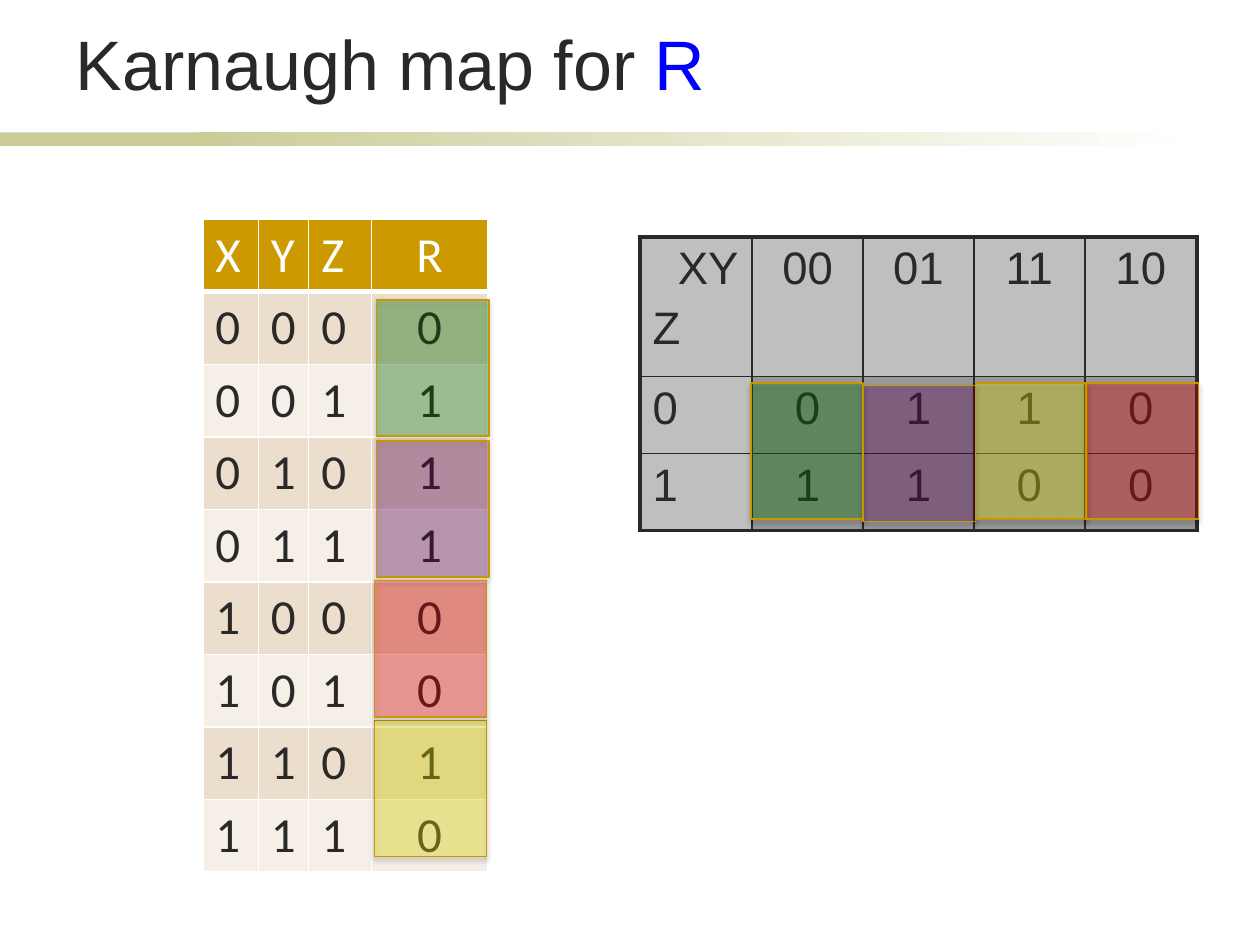
from lxml.etree import SubElement
from pptx import Presentation
from pptx.dml.color import RGBColor
from pptx.enum.shapes import MSO_SHAPE
from pptx.enum.text import MSO_ANCHOR, MSO_AUTO_SIZE, PP_ALIGN
from pptx.oxml.ns import qn
from pptx.util import Inches, Pt

COLORS = {
    "ink": "292929", "blue": "0000FF", "white": "FFFFFF", "sage": "CCCC99",
    "gold": "CC9900", "sand": "ECDECC", "cream": "F6EFE7", "outline": "C89600",
    "label": "BFBFBF", "value": "999999", "green": "008000",
    "purple": "660066", "yellow": "FFFF00", "red": "FF0000",
}
TITLE_FORMAT = {"vertical_anchor": MSO_ANCHOR.BOTTOM, "word_wrap": True,
                "auto_size": MSO_AUTO_SIZE.NONE}


def rgb(name):
    """Return a palette colour."""
    return RGBColor.from_string(COLORS[name])


def add_node(parent, tag, **attributes):
    """Append an XML child with the given attributes."""
    return SubElement(parent, qn(tag), {k: str(v) for k, v in attributes.items()})


def set_format(target, values):
    """Set every attribute listed in a dict of format values."""
    for name, value in values.items():
        setattr(target, name, value)


class SlideBuilder:
    """Holds the style and the current slide."""

    def __init__(self, presentation):
        """Add a title-only slide."""
        self.slide = presentation.slides.add_slide(presentation.slide_layouts[5])

    def run(self, paragraph, text, size, font, color):
        """Add a formatted run."""
        run = paragraph.add_run()
        run.text = text
        set_format(run.font, {"size": Pt(size), "name": font})
        run.font.color.rgb = rgb(color)

    def title(self, box, parts):
        """Place the title and write its coloured parts."""
        title = self.slide.shapes.title
        set_format(title, dict(zip(("left", "top", "width", "height"), map(Inches, box))))
        set_format(title.text_frame, TITLE_FORMAT)
        paragraph = title.text_frame.paragraphs[0]
        paragraph.alignment = PP_ALIGN.LEFT
        for text, color in parts:
            self.run(paragraph, text, 40, "Arial", color)

    def bar(self, box, end_color=None):
        """Draw a plain bar, or one that fades to the end colour."""
        bar = self.slide.shapes.add_shape(MSO_SHAPE.RECTANGLE, *map(Inches, box))
        bar.shadow.inherit = False
        bar.line.fill.background()
        if end_color is None:
            bar.fill.solid()
            bar.fill.fore_color.rgb = rgb("sage")
            return
        bar.fill.gradient()
        bar.fill.gradient_angle = 0
        for stop, color, position in zip(bar.fill.gradient_stops, ("sage", end_color), (0, 1)):
            stop.color.rgb = rgb(color)
            stop.position = position

    def table(self, box, widths, heights):
        """Add an unbanded table with given column widths and row heights."""
        frame = self.slide.shapes.add_table(len(heights), len(widths), *map(Inches, box))
        table = frame.table
        set_format(table, {"first_row": False, "horz_banding": False})
        for column, width in zip(table.columns, widths):
            column.width = Inches(width)
        for row, height in zip(table.rows, heights):
            row.height = Inches(height)
        frame.height = Inches(box[3])
        return table

    def cell(self, cell, text, size, font, color, fill, centered, borders, border_color):
        """Write, border and fill one cell; borders run left, right, top, bottom."""
        for index, line in enumerate(text.split("\n")):
            frame = cell.text_frame
            paragraph = frame.add_paragraph() if index else frame.paragraphs[0]
            paragraph.alignment = PP_ALIGN.CENTER if centered else PP_ALIGN.LEFT
            self.run(paragraph, line, size, font, color)
        properties = cell._tc.get_or_add_tcPr()
        for side, width in zip("LRTB", borders):
            line = add_node(properties, f"a:ln{side}", w=Pt(width))
            add_node(add_node(line, "a:solidFill"), "a:srgbClr", val=COLORS[border_color])
        cell.fill.solid()
        cell.fill.fore_color.rgb = rgb(fill)

    def highlight_pair(self, color, corners):
        """Group translucent markers over matching parts of both tables."""
        group = self.slide.shapes.add_group_shape()
        for left, top in corners:
            marker = group.shapes.add_shape(MSO_SHAPE.RECTANGLE, Inches(left), Inches(top),
                                            Inches(0.89), Inches(1.08))
            marker.fill.solid()
            marker.fill.fore_color.rgb = rgb(color)
            shade = marker._element.spPr.find(".//" + qn("a:srgbClr"))
            add_node(shade, "a:alpha", val=30000)
            marker.line.color.rgb = rgb("outline")
            marker.line.width = Pt(0.75)
            marker.shadow.inherit = False
            effects = marker._element.spPr.find(qn("a:effectLst"))
            shadow = add_node(effects, "a:outerShdw", blurRad=Pt(3.1), dist=Pt(1.8),
                              dir=5400000, rotWithShape=0)
            add_node(add_node(shadow, "a:srgbClr", val="000000"), "a:alpha", val=35000)


def karnaugh_map(builder):
    """Build the map of R over XY and Z."""
    rows = [["XY\nZ", "00", "01", "11", "10"], list("00110"), list("11100")]
    table = builder.table((5.08, 1.88, 4.42, 2.33), (0.89, 0.88, 0.88, 0.88, 0.89),
                          (1.11, 0.61, 0.61))
    for r, row in enumerate(rows):
        for c, text in enumerate(row):
            outer = (c == 0, c == 4, r == 0, r == 2)
            builder.cell(table.cell(r, c), text, 26, "Arial", "ink",
                         "value" if r and c else "label", c > 0,
                         [2.25 if edge else 1 for edge in outer], "ink")
            for paragraph in table.cell(r, c).text_frame.paragraphs:
                spacing = add_node(paragraph._p.get_or_add_pPr(), "a:spcBef")
                add_node(spacing, "a:spcPct", val=20000)
    corner = table.cell(0, 0).text_frame.paragraphs[0]
    corner._p.get_or_add_pPr().set("marL", str(Inches(0.2)))


def truth_table(builder):
    """Build the truth table of R over X, Y and Z."""
    rows = ["XYZR"] + [f"{i:03b}{result}" for i, result in enumerate("01110010")]
    table = builder.table((1.61, 1.74, 2.26, 5.1), (0.44, 0.4, 0.5, 0.92), [0.41] * 9)
    for r, row in enumerate(rows):
        fill = ("cream", "sand")[r % 2] if r else "gold"
        for c, text in enumerate(row):
            builder.cell(table.cell(r, c), text, 28, "Calibri", "ink" if r else "white",
                         fill, c == 3, (1, 1, 1, 1 if r else 3), "white")


def main():
    """Build and save the slide."""
    presentation = Presentation()
    set_format(presentation, {"slide_width": Inches(10), "slide_height": Inches(7.5)})
    builder = SlideBuilder(presentation)
    builder.bar((0, 1.05, 2.33, 0.11))
    builder.bar((1.58, 1.05, 7.92, 0.11), "white")
    builder.title((0.5, 0.13, 8.25, 0.75), [("Karnaugh map for ", "ink"), ("R", "blue")])
    karnaugh_map(builder)
    truth_table(builder)
    for color, corners in (
        ("green", [(2.99, 2.38), (5.96, 3.04)]),
        ("purple", [(2.99, 3.5), (6.85, 3.06)]),
        ("yellow", [(2.97, 5.72), (7.74, 3.04)]),
        ("red", [(2.97, 4.61), (8.62, 3.04)]),
    ):
        builder.highlight_pair(color, corners)
    presentation.save("out.pptx")


main()
